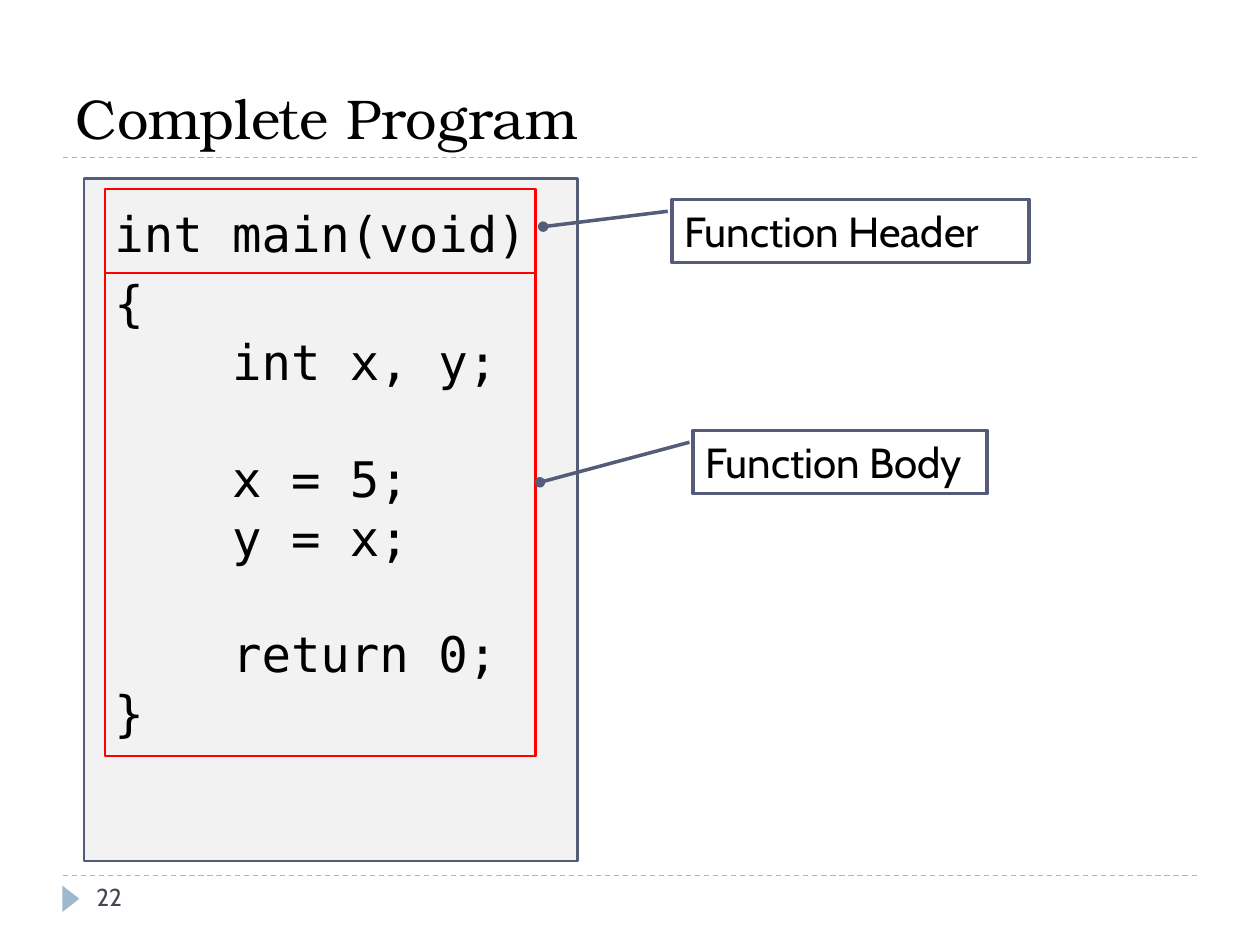
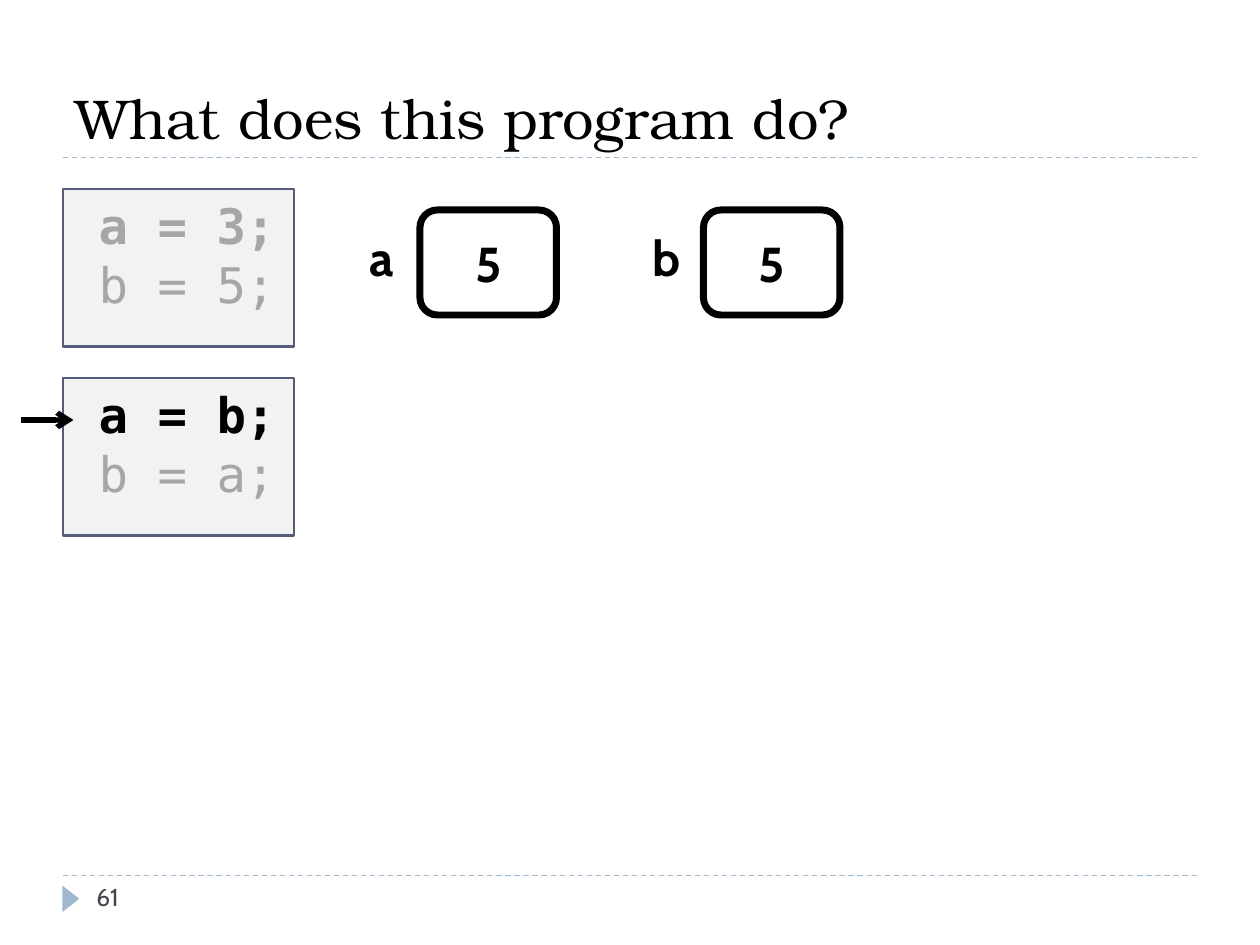
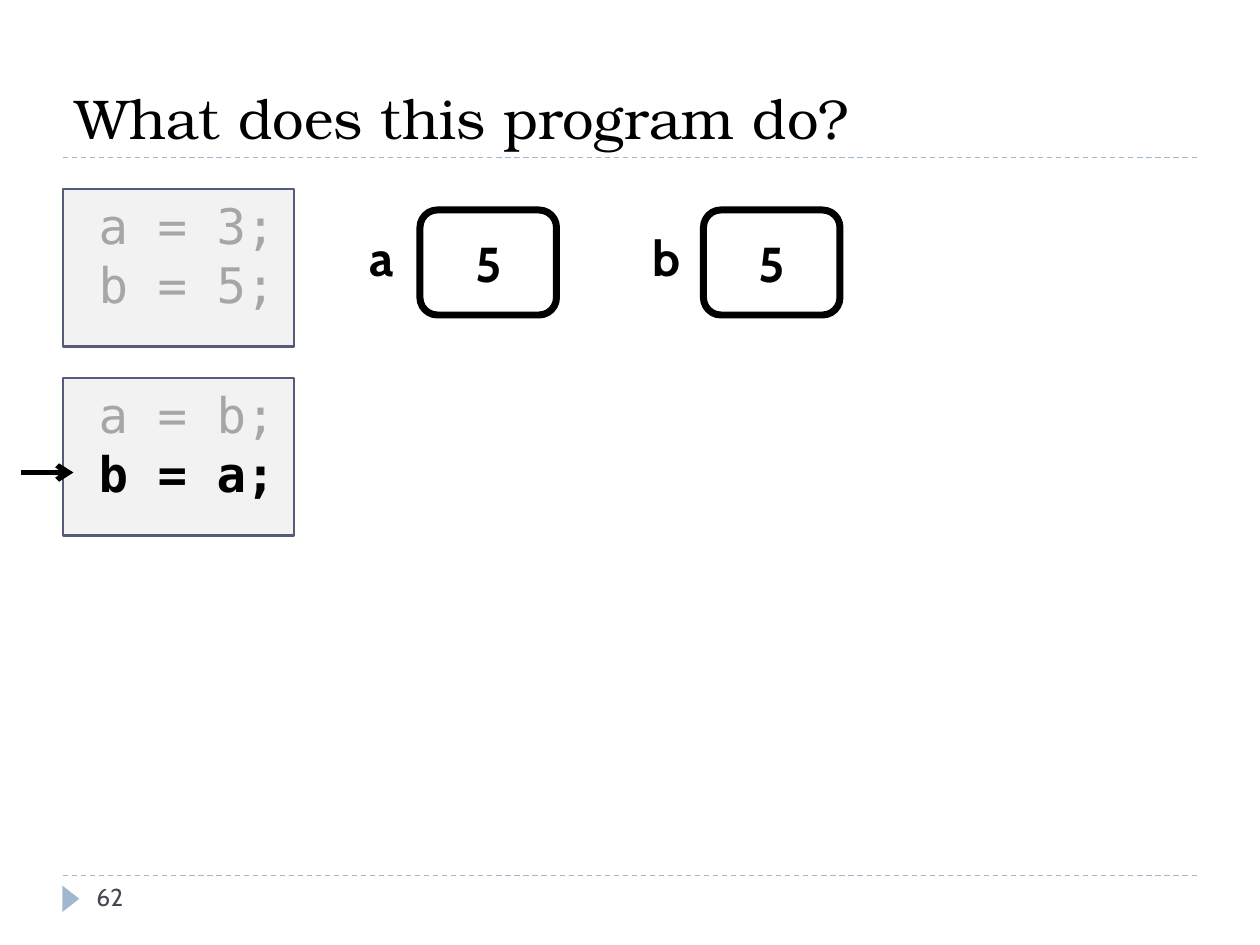
"""Build three slides on a complete C program and on tracing assignments."""
from lxml import etree
from pptx import Presentation
from pptx.dml.color import RGBColor
from pptx.enum.dml import MSO_LINE
from pptx.enum.shapes import MSO_CONNECTOR, MSO_SHAPE
from pptx.enum.text import MSO_ANCHOR, MSO_AUTO_SIZE, PP_ALIGN
from pptx.oxml.ns import qn
from pptx.util import Pt

PX = 7620
BLACK = RGBColor(0x00, 0x00, 0x00)
RED = RGBColor(0xFF, 0x00, 0x00)
SLATE = RGBColor(0x54, 0x5C, 0x79)
PALE_BLUE = RGBColor(0x9F, 0xB8, 0xCD)
CODE_FILL = RGBColor(0xF2, 0xF2, 0xF2)
DIMMED = RGBColor(0xA6, 0xA6, 0xA6)
NUMBER_COLOR = RGBColor(0x46, 0x46, 0x53)

RECTANGLE = MSO_SHAPE.RECTANGLE
ROUNDED = MSO_SHAPE.ROUNDED_RECTANGLE
CALLOUT = MSO_SHAPE.LINE_CALLOUT_1
TRIANGLE = MSO_SHAPE.ISOSCELES_TRIANGLE
STRAIGHT = MSO_CONNECTOR.STRAIGHT
DASH = MSO_LINE.DASH
TOP, MIDDLE, BOTTOM = MSO_ANCHOR.TOP, MSO_ANCHOR.MIDDLE, MSO_ANCHOR.BOTTOM
LEFT, CENTER = PP_ALIGN.LEFT, PP_ALIGN.CENTER

TITLE_FONT = {"name": "TeX Gyre Bonum", "size": Pt(32), "bold": False}
CODE_FONT = {"name": "DejaVu Sans Mono", "size": Pt(28), "bold": False}
CALLOUT_FONT = {"name": "Cabin", "size": Pt(24), "bold": False}
VALUE_FONT = {"name": "Cabin", "size": Pt(28), "bold": True}
NUMBER_FONT = {"name": "Cabin", "size": Pt(14), "bold": False}


def write(shape, lines, font, anchor=TOP, alignment=LEFT, insets=(12, 6, 12, 6)):
    """Fill a shape with lines, each a (text, colour, format changes) tuple."""
    frame = shape.text_frame
    frame.word_wrap = True
    frame.auto_size = MSO_AUTO_SIZE.NONE
    frame.vertical_anchor = anchor
    for side, inset in zip(("left", "top", "right", "bottom"), insets):
        setattr(frame, f"margin_{side}", inset * PX)
    for index, (text, color, changes) in enumerate(lines):
        paragraph = frame.add_paragraph() if index else frame.paragraphs[0]
        paragraph.alignment = alignment
        run = paragraph.add_run()
        run.text = text
        for name, value in (font | changes).items():
            setattr(run.font, name, value)
        run.font.color.rgb = color


def add_box(slide, kind, left, top, width, height, fill=None, line=None, weight=1.5):
    """Add a preset shape without shadow, filled and outlined as asked."""
    shape = slide.shapes.add_shape(kind, left * PX, top * PX, width * PX, height * PX)
    shape.shadow.inherit = False
    for target, color in ((shape.fill, fill), (shape.line.fill, line)):
        if color is None:
            target.background()
        else:
            target.solid()
            target.fore_color.rgb = color
    if line is not None:
        shape.line.width = Pt(weight)
    return shape


presentation = Presentation()
presentation.slide_width = 1200 * PX
presentation.slide_height = 900 * PX

slides = []
for title, number in (
    ("Complete Program", "22"),
    ("What does this program do?", "61"),
    ("What does this program do?", "62"),
):
    slide = presentation.slides.add_slide(presentation.slide_layouts[5])
    slides.append(slide)
    for rule_top in (834, 150):
        rule = slide.shapes.add_connector(STRAIGHT, 60 * PX, rule_top * PX, 1140 * PX, rule_top * PX)
        rule.line.color.rgb = PALE_BLUE
        rule.line.width = Pt(0.75)
        rule.line.dash_style = DASH
        etree.SubElement(rule.element.spPr, qn("a:effectLst"))
    marker = add_box(slide, TRIANGLE, 55, 848, 25, 16, PALE_BLUE)
    marker.rotation = 90
    heading = slide.shapes.title
    for name, value in {"left": 60, "top": 20, "width": 1080, "height": 130}.items():
        setattr(heading, name, value * PX)
    write(heading, [(title, BLACK, {})], TITLE_FONT, BOTTOM)
    number_box = slide.shapes.add_textbox(80 * PX, 834 * PX, 260 * PX, 48 * PX)
    write(number_box, [(number, NUMBER_COLOR, {})], NUMBER_FONT)

program_slide, *trace_slides = slides

PROGRAM = ("int main(void)", "{", "    int x, y;", "    x = 5;", "    y = x;", "    return 0;", "}")
program_box = add_box(program_slide, RECTANGLE, 80, 170, 470, 650, CODE_FILL, SLATE)
write(program_box, [(text, BLACK, {}) for text in PROGRAM], CODE_FONT, insets=(29, 24, 6, 12))
program_lines = program_box.text_frame.paragraphs
program_lines[0].space_after = Pt(6)
for index in (3, 5):
    program_lines[index].space_before = Pt(33)

for label, frame_place, callout_place, pointer in (
    ("Function Header", (100, 180, 410, 80), (640, 190, 340, 60), (0.188, -0.012, 0.432, -0.361)),
    ("Function Body", (100, 260, 410, 460), (660, 410, 280, 60), (0.188, -0.012, 0.824, -0.521)),
):
    add_box(program_slide, RECTANGLE, *frame_place, line=RED)
    callout = add_box(program_slide, CALLOUT, *callout_place, line=SLATE, weight=2)
    for index, value in enumerate(pointer):
        callout.adjustments[index] = value
    etree.SubElement(callout.line._get_or_add_ln(), qn("a:tailEnd"), type="oval")
    write(callout, [(label, BLACK, {})], CALLOUT_FONT)

BOLD = {"bold": True}
TRACES = (
    ([(" a = 3;", DIMMED, BOLD), (" b = 5;", DIMMED, {})],
     [(" a = b;", BLACK, BOLD), (" b = a;", DIMMED, {})], 400),
    ([(" a = 3;", DIMMED, {}), (" b = 5;", DIMMED, {})],
     [(" a = b;", DIMMED, {}), (" b = a;", BLACK, BOLD)], 450),
)
for slide, (setup_code, swap_code, arrow_top) in zip(trace_slides, TRACES):
    for variable, left in (("a", 400), ("b", 670)):
        value_box = add_box(slide, ROUNDED, left, 200, 130, 100, line=BLACK, weight=4)
        write(value_box, [("5", BLACK, {})], VALUE_FONT, MIDDLE, CENTER)
        name_box = slide.shapes.add_textbox((left - 60) * PX, 210 * PX, 100 * PX, 70 * PX)
        write(name_box, [(variable, BLACK, {})], VALUE_FONT, MIDDLE)
    for code, top in ((swap_code, 360), (setup_code, 180)):
        code_box = add_box(slide, RECTANGLE, 60, top, 220, 150, CODE_FILL, SLATE)
        write(code_box, code, CODE_FONT, insets=(6, 6, 6, 6))
    arrow = slide.shapes.add_connector(STRAIGHT, 20 * PX, arrow_top * PX, 70 * PX, arrow_top * PX)
    arrow.line.color.rgb = BLACK
    arrow.line.width = Pt(3)
    etree.SubElement(arrow.line._get_or_add_ln(), qn("a:tailEnd"), type="arrow")
    etree.SubElement(arrow.element.spPr, qn("a:effectLst"))

presentation.save("out.pptx")
